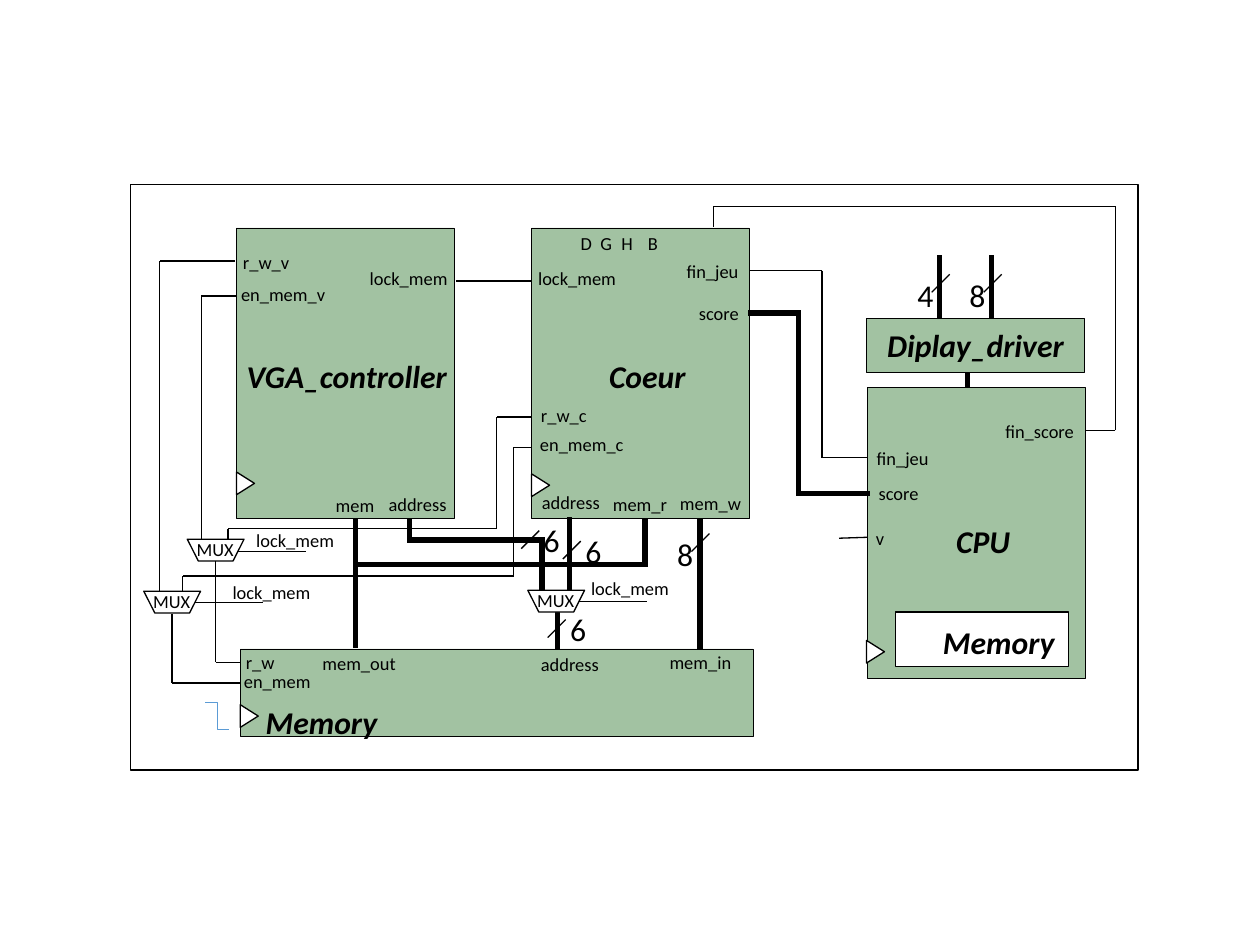
from itertools import pairwise

from pptx import Presentation
from pptx import util as u
from pptx.dml import color
from pptx.enum import shapes, text
from pptx.oxml import ns

COLOURS = {"ink": "000000", "paper": "FFFFFF", "block": "A2C2A2", "clock": "5B9BD5"}
FONT = "Calibri"
THIN, BUS = 1, 4
# The slide is a grid of square cells; all lengths below are in columns and rows
COLUMNS, ROWS = 133.2, 99.9


class Diagram:
    def __init__(self, presentation):
        presentation.slide_width, presentation.slide_height = u.Inches(13.32), u.Inches(9.99)
        self.cell = presentation.slide_width / COLUMNS
        self.slide = presentation.slides.add_slide(presentation.slide_layouts[6])

    def grid(self, *lengths):
        return [round(length * self.cell) for length in lengths]

    def colour(self, name):
        return color.RGBColor.from_string(COLOURS[name])

    def block(self, left, top, width, height, fill="block", weight=0.5,
              kind=shapes.MSO_SHAPE.RECTANGLE, rotation=0):
        shape = self.slide.shapes.add_shape(kind, *self.grid(left, top, width, height))
        shape.shadow.inherit = False
        shape.rotation = rotation
        shape.fill.solid()
        shape.fill.fore_color.rgb = self.colour(fill)
        shape.line.color.rgb = self.colour("ink")
        shape.line.width = u.Pt(weight)
        return shape

    def clock_input(self, left, middle):
        """Triangle pointing right, its base on the left edge of a block."""
        base, height = 2.4, 1.9
        self.block(left + (height - base) / 2, middle - height / 2, base, height, "paper", THIN,
                   shapes.MSO_SHAPE.ISOSCELES_TRIANGLE, 90)

    def mux(self, left, top):
        shape = self.block(left, top, 6, 2.3, "paper", THIN, shapes.MSO_SHAPE.TRAPEZOID, 180)
        shape.adjustments[0] = 0.504
        self.label("MUX", left, top - 0.6, 6)

    def label(self, words, left, top, width, size=14, strong=False):
        height = 3.4 if size == 14 else 5.1
        box = self.slide.shapes.add_textbox(*self.grid(left, top, width, height))
        frame = box.text_frame
        frame.text = words
        frame.word_wrap = False
        frame.auto_size = text.MSO_AUTO_SIZE.SHAPE_TO_FIT_TEXT
        font = frame.paragraphs[0].runs[0].font
        font.name, font.size = FONT, u.Pt(size)
        font.bold = font.italic = strong
        font.color.rgb = self.colour("ink")

    def name(self, words, left, top, width):
        self.label(words, left, top, width, 24.1, True)

    def connector(self, start, end, weight, colour="ink", kind=shapes.MSO_CONNECTOR.STRAIGHT):
        line = self.slide.shapes.add_connector(kind, *self.grid(*start, *end))
        line.line.color.rgb = self.colour(colour)
        line.line.width = u.Pt(weight)
        properties = line._element.spPr
        properties.append(properties.makeelement(ns.qn("a:effectLst"), {}))
        return line

    def wire(self, weight, *points):
        """Run of straight lines; square ends close the corners of a bent bus."""
        for start, end in pairwise(points):
            line = self.connector(start, end, weight)
            if weight == BUS and len(points) > 2:
                line.line._get_or_add_ln().set("cap", "sq")

    def bus_width(self, digit, left, bottom, digit_on_left=False):
        """Slash across a bus, with its number of bits."""
        self.connector((left, bottom), (left + 1.9, bottom - 1.9), THIN)
        shift, rise = (-2.5, 2.2) if digit_on_left else (1.4, 3.4)
        self.label(digit, left + shift, bottom - rise, 3.7, 24.1)


WIRES = [
    # VGA controller and core to the two left multiplexers
    (THIN, (24.8, 27.6), (16.9, 27.6), (16.9, 62.5)),
    (THIN, (25, 31.3), (21.3, 31.3), (21.3, 57)),
    (THIN, (56.2, 44.1), (52.5, 44.1), (52.5, 55.9), (24.1, 55.9), (24.1, 57)),
    (THIN, (56.1, 47.3), (54.3, 47.3), (54.3, 60.9), (19.3, 60.9), (19.3, 62.5)),
    # Multiplexers to memory
    (THIN, (22.8, 59.1), (22.8, 70), (25.4, 70)),
    (THIN, (18.2, 64.9), (18.2, 72.2), (25.4, 72.2)),
    (BUS, (58.9, 64.7), (58.9, 68.6)),
    # lock_mem
    (THIN, (48.2, 29.7), (56.1, 29.7)),
    (THIN, (25.1, 58.3), (32.4, 58.3)),
    (THIN, (20.6, 63.7), (27.8, 63.7)),
    (THIN, (61.2, 63.6), (68.4, 63.6)),
    # Address and data buses
    (BUS, (43.3, 55), (43.3, 57.1), (57.3, 57.1), (57.3, 62.1)),
    (BUS, (60.2, 54.7), (60.2, 62.4)),
    (BUS, (37.6, 54.9), (37.6, 68.5)),
    (BUS, (37.6, 59.7), (68.2, 59.7), (68.2, 55)),
    (BUS, (74, 54.8), (74, 68.6)),
    # Core to CPU
    (THIN, (79.3, 28.6), (86.9, 28.6), (86.9, 48.4), (91.7, 48.4)),
    (BUS, (79.4, 33.1), (84.4, 33.1), (84.4, 52.2), (91.7, 52.2)),
    (THIN, (114.8, 45.5), (117.9, 45.5), (117.9, 21.8), (75.4, 21.8), (75.4, 24)),
    (THIN, (88.7, 56.9), (91.7, 56.8)),
    # Display driver
    (BUS, (99.3, 27), (99.3, 33.7)),
    (BUS, (104.8, 27), (104.8, 33.7)),
    (BUS, (102.3, 39.4), (102.3, 41)),
]

LABELS = [
    # VGA controller
    ("r_w_v", 24.7, 26.1, 7), ("en_mem_v", 24.5, 29.4, 11), ("lock_mem", 38.1, 27.8, 10.3),
    ("mem", 34.5, 51.7, 6.1), ("address", 40.1, 51.6, 8.2),
    # Core
    ("D", 60.4, 24, 3.2), ("G", 62.5, 24, 3.3), ("H", 64.7, 24, 3.2), ("B", 67.5, 24, 3.1),
    ("lock_mem", 55.9, 27.8, 10.3), ("fin_jeu", 71.6, 27, 7.6), ("score", 72.9, 31.4, 6.3),
    ("r_w_c", 56.2, 42.2, 6.9), ("en_mem_c", 56.1, 45.3, 10.9),
    ("address", 56.3, 51.4, 8.2), ("mem_r", 63.8, 51.6, 7.8), ("mem_w", 70.9, 51.5, 8.5),
    # Multiplexers
    ("lock_mem", 26.1, 55.4, 10.3), ("lock_mem", 23.6, 60.9, 10.3), ("lock_mem", 61.5, 60.5, 10.3),
    # Memory
    ("r_w", 25, 68.3, 5.1), ("en_mem", 24.8, 70.4, 9.1), ("mem_out", 33.1, 68.4, 9.8),
    ("address", 56.2, 68.6, 8.2), ("mem_in", 69.8, 68.3, 8.6),
    # CPU
    ("fin_score", 105.3, 43.9, 9.3), ("fin_jeu", 91.7, 46.8, 7.6),
    ("score", 91.9, 50.5, 6.3), ("v", 91.6, 55.2, 2.9),
]


def main():
    presentation = Presentation()
    diagram = Diagram(presentation)

    # Frame and blocks
    diagram.block(13.8, 19.5, 106.5, 61.9, "paper", THIN)
    for left, top in ((25, 24.1), (56.2, 24.1), (91.7, 41)):
        diagram.block(left, top, 23, 30.7)
    diagram.block(25.4, 68.6, 54.2, 9.2)
    diagram.block(91.6, 33.7, 23, 5.7)
    diagram.block(94.7, 64.7, 18.3, 5.8, "paper", THIN)

    # Clock inputs and clock edge
    for left, middle in ((25, 51.1), (56.2, 51.3), (25.4, 75.7), (91.6, 68.9)):
        diagram.clock_input(left, middle)
    diagram.connector((21.7, 74.3), (24.2, 77.1), 0.5, "clock", shapes.MSO_CONNECTOR.ELBOW)

    # Wires, multiplexers and bus widths
    for wire in WIRES:
        diagram.wire(*wire)
    for left, top in ((15.2, 62.5), (19.8, 57), (55.8, 62.4)):
        diagram.mux(left, top)
    for digit, left, bottom in (("6", 55.1, 58), ("6", 59.5, 59.1), ("6", 57.9, 67.4)):
        diagram.bus_width(digit, left, bottom)
    for digit, left, bottom in (("8", 73.1, 58.3), ("4", 98.5, 30.9), ("8", 104, 30.9)):
        diagram.bus_width(digit, left, bottom, digit_on_left=True)

    # Signal labels and block names
    for label in LABELS:
        diagram.label(*label)
    for words, left, top, width in (
        ("VGA_controller", 25.1, 37.2, 23.4), ("Coeur", 63.4, 37.2, 10.2),
        ("Diplay_driver", 92.8, 34, 20.9), ("CPU", 100.1, 54.7, 7.8),
        ("Memory", 27.1, 73.8, 13.9), ("Memory", 98.7, 65.4, 13.9),
    ):
        diagram.name(words, left, top, width)

    presentation.save("out.pptx")


if __name__ == "__main__":
    main()
